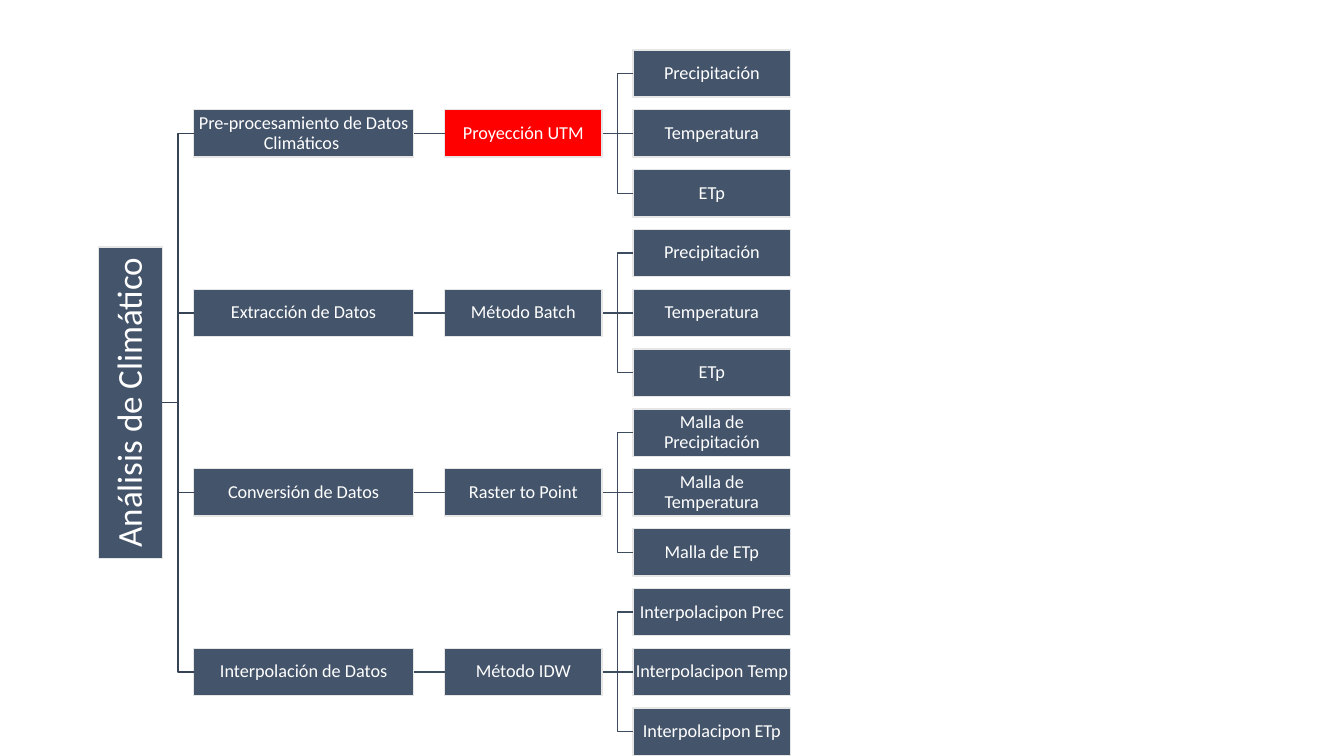
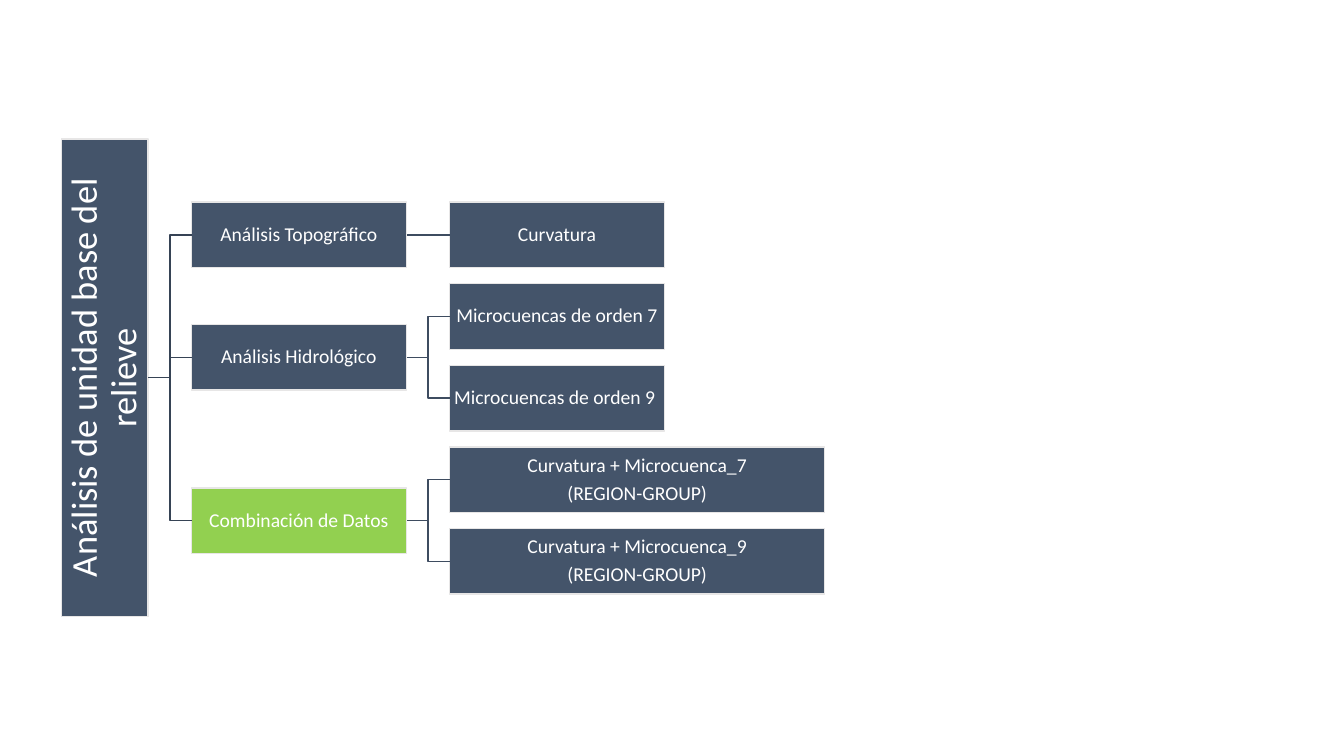
from dataclasses import dataclass

from lxml.etree import SubElement
from pptx import Presentation
from pptx.dml.color import RGBColor
from pptx.enum.shapes import MSO_CONNECTOR, MSO_SHAPE
from pptx.enum.text import MSO_ANCHOR, MSO_AUTO_SIZE, PP_ALIGN
from pptx.oxml.ns import qn
from pptx.util import Inches, Pt


@dataclass(frozen=True)
class Theme:
    font: str = "Calibri"
    box: str = "44546A"
    border: str = "E7E6E6"
    text: str = "FFFFFF"
    trunk: str = "364355"
    branch: str = "3E4C60"
    pending: str = "FF0000"
    done: str = "92D050"
    line_width: float = 1
    line_spacing: float = 0.9
    paragraph_gap: float = 0.35


@dataclass(frozen=True)
class Step:
    text: str
    children: tuple = ()
    fill: str = ""
    width: float = 0


@dataclass(frozen=True)
class Tree:
    root: Step
    left: float
    gap: float
    widths: tuple
    root_height: float
    box_height: float
    first_leaf: float
    last_leaf: float
    root_size: float
    box_size: float


THEME = Theme()

VARIABLES = tuple(map(Step, ("Precipitación", "Temperatura", "ETp")))
GRIDS = tuple(map(Step, (
    "Malla de Precipitación", "Malla de Temperatura", "Malla de ETp")))
INTERPOLATIONS = tuple(map(Step, (
    "Interpolacipon Prec", "Interpolacipon Temp", "Interpolacipon ETp")))

CLIMATE = Step("Análisis de Climático", (
    Step("Pre-procesamiento de Datos Climáticos ",
         (Step("Proyección UTM", VARIABLES, THEME.pending),)),
    Step("Extracción de Datos", (Step("Método Batch", VARIABLES),)),
    Step("Conversión de Datos", (Step("Raster to Point", GRIDS),)),
    Step("Interpolación de Datos", (Step("Método IDW", INTERPOLATIONS),)),
))

RELIEF = Step("Análisis de unidad base del relieve", (
    Step("Análisis Topográfico", (Step("Curvatura"),)),
    Step("Análisis Hidrológico", (
        Step("Microcuencas de orden 7"),
        Step("Microcuencas de orden 9 "))),
    Step("Combinación de Datos", (
        Step("Curvatura + Microcuenca_7\n(REGION-GROUP)", width=3.72),
        Step("Curvatura + Microcuenca_9\n(REGION-GROUP)", width=3.72)),
        THEME.done),
))

TREES = (
    Tree(CLIMATE, left=0.98, gap=0.31, widths=(0.63, 2.18, 1.56, 1.56),
         root_height=3.09, box_height=0.47, first_leaf=0.73, last_leaf=7.26,
         root_size=25, box_size=13),
    Tree(RELIEF, left=0.61, gap=0.43, widths=(0.86, 2.13, 2.13),
         root_height=4.74, box_height=0.65, first_leaf=2.33, last_leaf=5.57,
         root_size=26, box_size=14),
)


def color(value):
    return RGBColor.from_string(value)


def write(shape, text, *, size, inset):
    frame = shape.text_frame
    frame.text = text
    frame.word_wrap = True
    frame.auto_size = MSO_AUTO_SIZE.NONE
    frame.vertical_anchor = MSO_ANCHOR.MIDDLE
    frame.margin_left = frame.margin_right = Inches(inset)
    frame.margin_top = frame.margin_bottom = Inches(inset)
    for paragraph in frame.paragraphs:
        paragraph.alignment = PP_ALIGN.CENTER
        paragraph.line_spacing = THEME.line_spacing
        paragraph.space_before = Pt(0)
        paragraph.space_after = Pt(round(size * THEME.paragraph_gap))
        paragraph.font.name = THEME.font
        paragraph.font.size = Pt(size)
        paragraph.font.color.rgb = color(THEME.text)


def outline(shape, stroke):
    shape.line.color.rgb = color(stroke)
    shape.line.width = Pt(THEME.line_width)


def paint(shape, fill):
    shape.fill.solid()
    shape.fill.fore_color.rgb = color(fill or THEME.box)
    outline(shape, THEME.border)
    shape.shadow.inherit = False


def draw_branch(slide, start, parent_y, end, child_y, stroke):
    x1, y1, x2, y2 = map(Inches, (start, parent_y, end, child_y))
    if abs(child_y - parent_y) < 0.01:
        branch = slide.shapes.add_connector(
            MSO_CONNECTOR.STRAIGHT, x1, y1, x2, y1)
        SubElement(branch._element.spPr, qn("a:effectLst"))
    else:
        middle = (x1 + x2) // 2
        builder = slide.shapes.build_freeform(x1, y1)
        builder.add_line_segments(
            [(middle, y1), (middle, y2), (x2, y2)], close=False)
        branch = builder.convert_to_shape()
        branch.fill.background()
        branch.shadow.inherit = False
    outline(branch, stroke)


def draw_root(slide, tree, y):
    title = slide.shapes.title
    center = tree.left + tree.widths[0] / 2
    title.left = Inches(center - tree.root_height / 2)
    title.top = Inches(y - tree.widths[0] / 2)
    title.width = Inches(tree.root_height)
    title.height = Inches(tree.widths[0])
    title.rotation = 270
    paint(title, tree.root.fill)
    write(title, tree.root.text, size=tree.root_size, inset=0.02)


def draw_box(slide, tree, step, left, width, y):
    box = slide.shapes.add_shape(
        MSO_SHAPE.RECTANGLE, Inches(left), Inches(y - tree.box_height / 2),
        Inches(width), Inches(tree.box_height))
    paint(box, step.fill)
    write(box, step.text, size=tree.box_size, inset=0.01)


def count_leaves(step):
    return sum(map(count_leaves, step.children)) or 1


def draw_step(slide, tree, step, level, leaf_ys):
    left = tree.left + sum(tree.widths[:level]) + level * tree.gap
    width = step.width or tree.widths[level]
    child_ys = [draw_step(slide, tree, child, level + 1, leaf_ys)
                for child in step.children]
    y = (child_ys[0] + child_ys[-1]) / 2 if child_ys else next(leaf_ys)
    right = left + width
    stroke = THEME.branch if level else THEME.trunk
    for child_y in child_ys:
        draw_branch(slide, right, y, right + tree.gap, child_y, stroke)
    if level:
        draw_box(slide, tree, step, left, width, y)
    else:
        draw_root(slide, tree, y)
    return y


def main():
    deck = Presentation()
    deck.slide_width, deck.slide_height = Inches(13.33), Inches(7.5)
    title_only = deck.slide_layouts[5]
    for tree in TREES:
        slide = deck.slides.add_slide(title_only)
        leaves = count_leaves(tree.root)
        pitch = (tree.last_leaf - tree.first_leaf) / (leaves - 1)
        leaf_ys = iter([tree.first_leaf + i * pitch for i in range(leaves)])
        draw_step(slide, tree, tree.root, 0, leaf_ys)
    deck.save("out.pptx")


if __name__ == "__main__":
    main()
